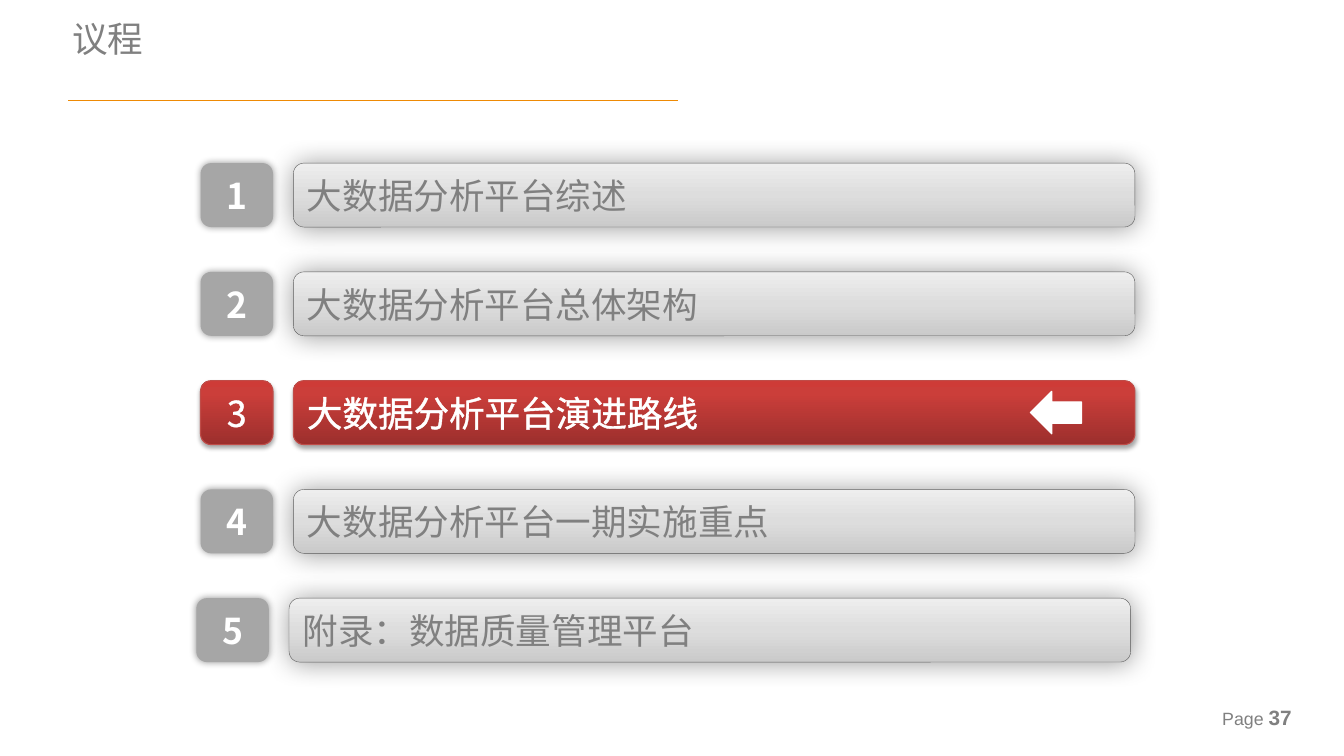
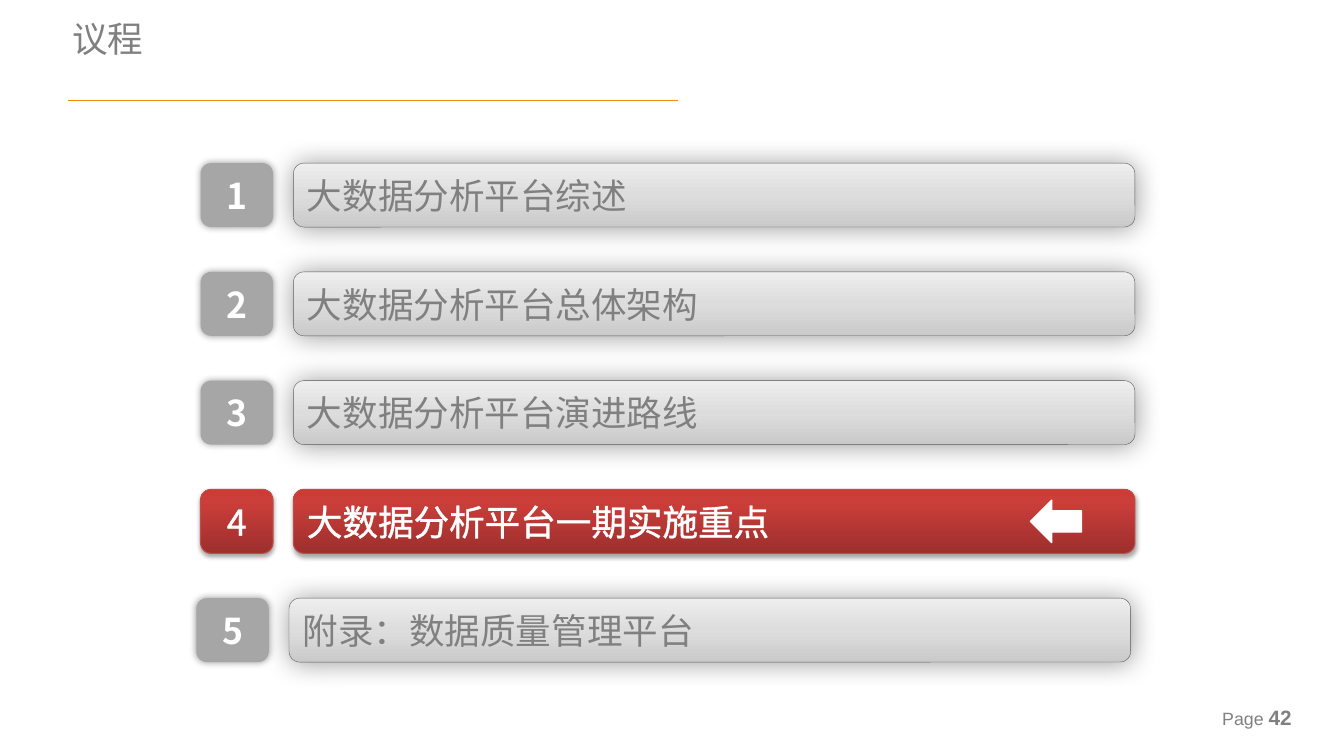
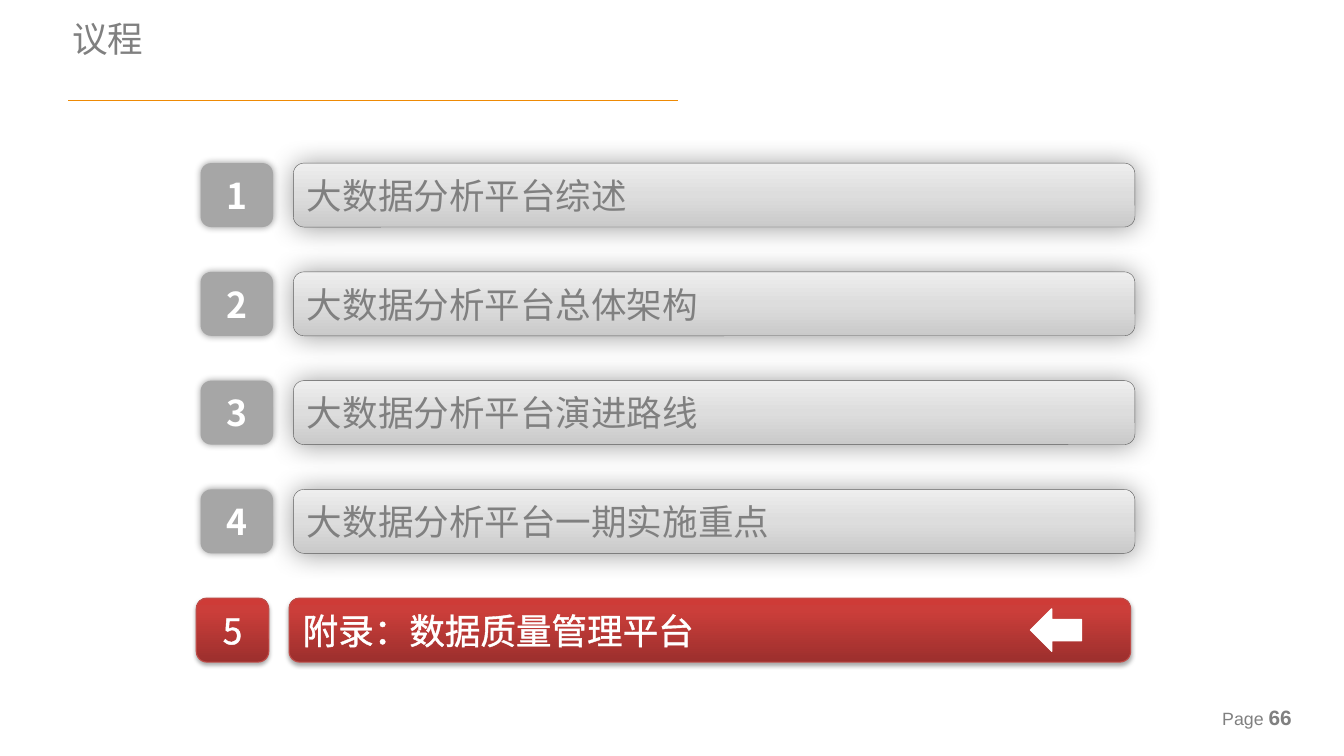
from lxml.etree import Element, SubElement
from pptx import Presentation
from pptx.dml.color import RGBColor
from pptx.enum.shapes import MSO_CONNECTOR, MSO_SHAPE
from pptx.enum.text import MSO_ANCHOR, PP_ALIGN
from pptx.oxml.ns import qn
from pptx.util import Inches, Pt

ROUNDED, ARROW = MSO_SHAPE.ROUNDED_RECTANGLE, MSO_SHAPE.LEFT_ARROW
STRAIGHT = MSO_CONNECTOR.STRAIGHT
TOP, MIDDLE = MSO_ANCHOR.TOP, MSO_ANCHOR.MIDDLE
LEFT, CENTER = PP_ALIGN.LEFT, PP_ALIGN.CENTER

COLOURS = {"grey": "808080", "badge": "A6A6A6", "white": "FFFFFF", "rule": "EE8A04",
           "edge": "595959", "red_edge": "BF4C48", "black": "000000"}
GREY_STOPS = [(0, "CACACA"), (50, "DDDDDD"), (100, "EEEEEE")]
RED_STOPS = [(0, "9C2F2D"), (80, "CB3E3A"), (100, "CE3B37")]
CJK = "Noto Sans CJK SC"

# Looks: fill stops or colour, line (colour, points), shadow (opacity, blur, distance),
# text colour, text outline in points, weight
RED_LOOK = {"fill": RED_STOPS, "line": ("red_edge", 0.75), "shadow": (35, 3.1, 1.8),
            "text": "white", "outline": 1.45, "bold": False}
LOOKS = {
    "bar": {"fill": GREY_STOPS, "line": ("edge", 0.25), "shadow": (40, 18, 0),
            "text": "grey", "outline": 0.75, "bold": False},
    "badge": {"fill": "badge", "line": None, "shadow": (40, 5, 0),
              "text": "white", "outline": None, "bold": True},
}

# Agenda grid, in inches
FIRST_ROW, ROW_PITCH, ROW_HEIGHT = 1.53, 1.02, 0.6
BAR_LEFT, BAR_WIDTH = 2.75, 7.89
BADGE_LEFT, BADGE_WIDTH = 1.88, 0.68
LAST_ROW_SHIFT = -0.04
ARROW_LEFT, ARROW_WIDTH, ARROW_HEIGHT = 9.66, 0.48, 0.4

TOPICS = ["大数据分析平台综述", "大数据分析平台总体架构", "大数据分析平台演进路线",
          "大数据分析平台一期实施重点", "附录：数据质量管理平台"]
AGENDAS = [(37, 3), (42, 4), (66, 5)]  # page number, current topic


def write(box, spans, anchor=MIDDLE, align=LEFT, top=0.05):
    """Fill a box with one paragraph of (text, colour, font values, outline) spans."""
    frame = box.text_frame
    settings = {"word_wrap": True, "vertical_anchor": anchor, "margin_left": Inches(0.1),
                "margin_right": Inches(0.1), "margin_top": Inches(top)}
    for name, value in settings.items():
        setattr(frame, name, value)
    para = frame.paragraphs[0]
    para.alignment = align
    for text, colour, values, outline in spans:
        span = para.add_run()
        span.text = text
        for name, value in values.items():
            setattr(span.font, name, value)
        span.font.color.rgb = RGBColor.from_string(COLOURS[colour])
        properties = span.font._element
        SubElement(properties, qn("a:ea"), typeface=values["name"])
        if outline:
            line = Element(qn("a:ln"), w=str(Pt(outline)))
            solid = SubElement(line, qn("a:solidFill"))
            SubElement(solid, qn("a:srgbClr"), val=COLOURS[colour])
            properties.insert(0, line)


def add_block(page, left, top, width, look, text, align):
    """Add a rounded block of the agenda with its fill, line, shadow and text."""
    block = page.shapes.add_shape(ROUNDED, Inches(left), Inches(top),
                                  Inches(width), Inches(ROW_HEIGHT))
    if isinstance(look["fill"], list):
        block.fill.gradient()
        block.fill.gradient_angle = 90
        stops = block._element.spPr.find(".//" + qn("a:gsLst"))
        stops.clear()
        for share, colour in look["fill"]:
            stop = SubElement(stops, qn("a:gs"), pos=str(share * 1000))
            SubElement(stop, qn("a:srgbClr"), val=colour)
    else:
        block.fill.solid()
        block.fill.fore_color.rgb = RGBColor.from_string(COLOURS[look["fill"]])
    if look["line"]:
        colour, points = look["line"]
        block.line.color.rgb = RGBColor.from_string(COLOURS[colour])
        block.line.width = Pt(points)
    else:
        block.line.fill.background()

    block.shadow.inherit = False
    opacity, blur, distance = look["shadow"]
    shadow = SubElement(block._element.spPr.find(qn("a:effectLst")), qn("a:outerShdw"),
                        blurRad=str(Pt(blur)), dist=str(Pt(distance)),
                        dir="5400000", rotWithShape="0")
    tint = SubElement(shadow, qn("a:srgbClr"), val=COLOURS["black"])
    SubElement(tint, qn("a:alpha"), val=str(opacity * 1000))

    values = {"name": CJK, "size": Pt(24), "bold": look["bold"]}
    write(block, [(text, look["text"], values, look["outline"])], align=align)


deck = Presentation()
deck.slide_width, deck.slide_height = Inches(12.6), Inches(7.09)

for number, current in AGENDAS:
    page = deck.slides.add_slide(deck.slide_layouts[6])

    # Page number
    footer = page.shapes.add_textbox(Inches(11.36), Inches(6.6), Inches(1.25), Inches(0.26))
    write(footer, [("Page ", "grey", {"name": "Arial", "size": Pt(12)}, None),
                   (str(number), "grey", {"name": "Arial", "size": Pt(14), "bold": True}, None)])

    # Title and its rule
    rule = page.shapes.add_connector(STRAIGHT, Inches(0.64), Inches(0.94),
                                     Inches(6.36), Inches(0.94))
    rule.line.color.rgb = RGBColor.from_string(COLOURS["rule"])
    rule.line.width = Pt(0.75)
    SubElement(rule._element.spPr, qn("a:effectLst"))
    title = page.shapes.add_textbox(Inches(0.58), Inches(0.16), Inches(8.89), Inches(0.41))
    write(title, [("议程", "grey", {"name": CJK, "size": Pt(24)}, None)], anchor=TOP, top=0)

    # Agenda rows
    for order, topic in enumerate(TOPICS, start=1):
        top = FIRST_ROW + (order - 1) * ROW_PITCH
        shift = LAST_ROW_SHIFT if order == len(TOPICS) else 0
        bar_look, badge_look = LOOKS["bar"], LOOKS["badge"]
        if order == current:
            bar_look = badge_look = RED_LOOK
        add_block(page, BAR_LEFT + shift, top, BAR_WIDTH, bar_look, topic, LEFT)
        add_block(page, BADGE_LEFT + shift, top, BADGE_WIDTH, badge_look, str(order), CENTER)

    # Arrow at the current row
    arrow_top = FIRST_ROW + (current - 1) * ROW_PITCH + (ROW_HEIGHT - ARROW_HEIGHT) / 2
    arrow = page.shapes.add_shape(ARROW, Inches(ARROW_LEFT), Inches(arrow_top),
                                  Inches(ARROW_WIDTH), Inches(ARROW_HEIGHT))
    arrow.shadow.inherit = False
    arrow.fill.solid()
    arrow.fill.fore_color.rgb = RGBColor.from_string(COLOURS["white"])
    arrow.line.color.rgb = RGBColor.from_string(COLOURS["white"])
    arrow.line.width = Pt(0.75)

deck.save("out.pptx")
